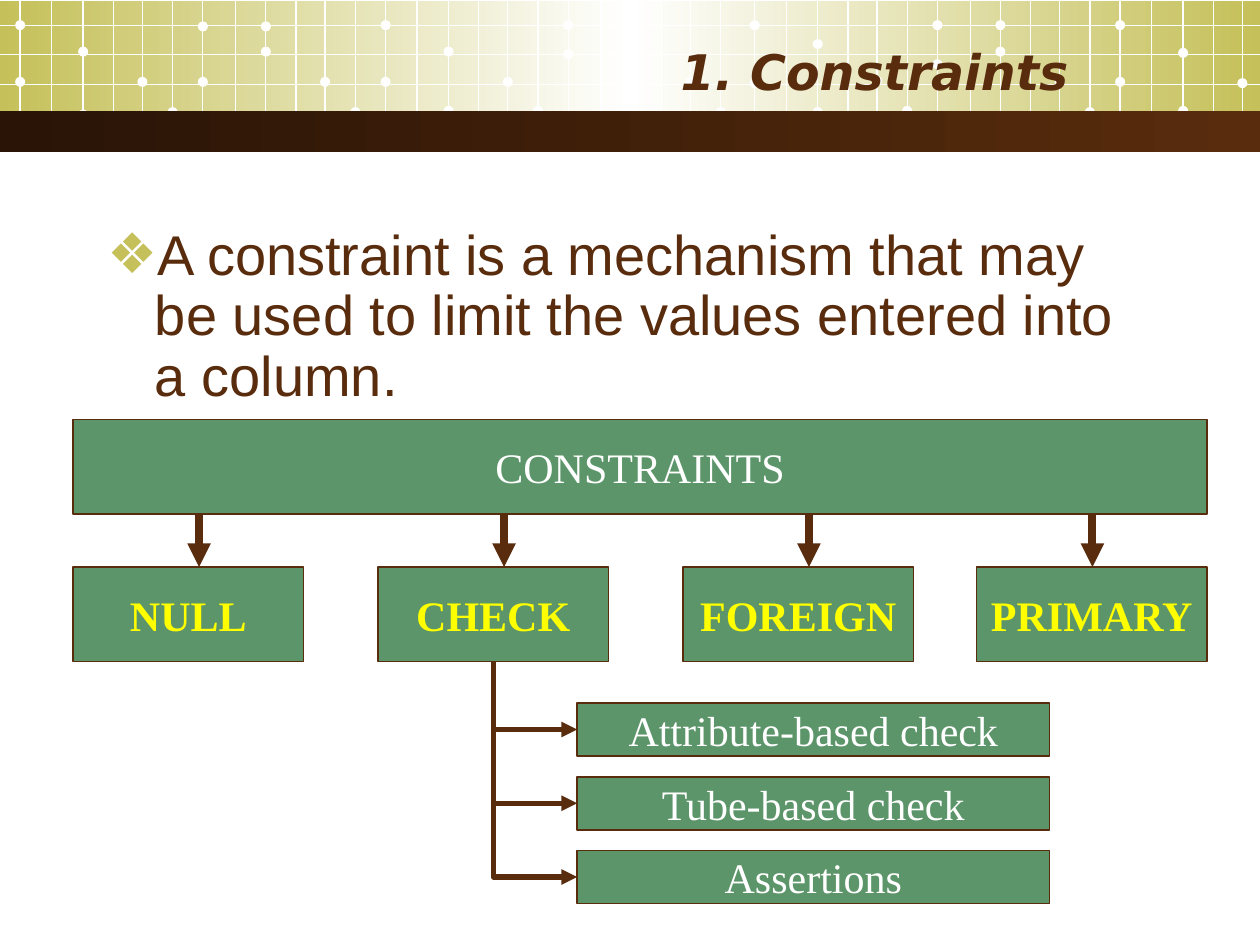
from typing import NamedTuple

from lxml import etree
from pptx import Presentation
from pptx import util as u
from pptx.dml.color import RGBColor
from pptx.enum import shapes, text
from pptx.oxml.ns import qn

BROWN = RGBColor(0x59, 0x2C, 0x0D)
DARK_BROWN = RGBColor(0x29, 0x14, 0x06)
OLIVE = RGBColor(0xC5, 0xC0, 0x59)
GREEN = RGBColor(0x5B, 0x95, 0x69)
YELLOW = RGBColor(0xFF, 0xFF, 0x00)
WHITE = RGBColor(0xFF, 0xFF, 0xFF)

RECT = shapes.MSO_SHAPE.RECTANGLE
OVAL = shapes.MSO_SHAPE.OVAL
STRAIGHT = shapes.MSO_CONNECTOR.STRAIGHT
ELBOW = shapes.MSO_CONNECTOR.ELBOW

# The header grid repeats in panels; only the heights of the dots vary.
LINE_STEPS = (0, 0.25, 0.5, 0.74, 0.97, 1.21, 1.45, 1.71, 1.95, 2.19, 2.42, 2.66)
DOT_STEPS = (0, 0, 0.5, 0.5, 0.97, 1.21, 1.45, 1.45, 1.95, 1.95, 2.42, 2.66)
GRID_ROWS = (0.2, 0.43, 0.67, 0.89)
DOT_SIZE = 0.08


class Panel(NamedTuple):
    left: float
    dot_tops: tuple[float, ...]


class Box(NamedTuple):
    label: str
    left: float
    top: float
    width: float
    height: float
    color: RGBColor = WHITE
    bold: bool = False


PANELS = (
    Panel(0.16, (0.61, 0.16, 0.37, 0.87, 0.61, 0.85, 0.61, 0.17, 0.37, 0.17, 0.61, 0.85)),
    Panel(3.06, (0.61, 0.16, 0.37, 0.84, 0.61, 0.84, 0.39, 0.16, 0.38, 0.16, 0.61, 0.85)),
    Panel(5.99, (0.62, 0.16, 0.31, 0.85, 0.6, 0.84, 0.47, 0.16, 0.37, 0.16, 0.61, 0.85)),
    Panel(8.89, (0.61, 0.16, 0.38, 0.84, 0.62)),
)
ROOT = Box("CONSTRAINTS", 0.58, 3.33, 9, 0.75)
KINDS = [
    Box(label, left, 4.5, 1.83, 0.75, YELLOW, True)
    for label, left in (("NULL", 0.58), ("CHECK", 3), ("FOREIGN", 5.42), ("PRIMARY", 7.75))
]
CHECKS = [
    Box(label, 4.58, 5.58 + 0.585 * i, 3.75, 0.42)
    for i, label in enumerate(("Attribute-based check", "Tube-based check", "Assertions"))
]
ARROW_XS = (1.58, 4, 6.42, 8.67)


def add_filled(parent, kind, left: float, top: float, width: float, height: float, color: RGBColor):
    sp = parent.add_shape(kind, u.Inches(left), u.Inches(top), u.Inches(width), u.Inches(height))
    sp.shadow.inherit = False
    sp.fill.solid()
    sp.fill.fore_color.rgb = color
    sp.line.fill.background()
    return sp


def add_line(parent, kind, x1: float, y1: float, x2: float, y2: float,
             color: RGBColor, width: float, arrow: bool = False):
    line = parent.add_connector(kind, u.Inches(x1), u.Inches(y1), u.Inches(x2), u.Inches(y2))
    line.line.color.rgb = color
    line.line.width = u.Pt(width)
    if arrow:
        etree.SubElement(line.line._get_or_add_ln(), qn("a:tailEnd"), type="triangle")
    etree.SubElement(line.element.spPr, qn("a:effectLst"))
    return line


def add_gradient_bar(parent, top: float, height: float, colors: tuple[RGBColor, ...]) -> None:
    """Full-width bar with evenly spaced colour stops from left to right."""
    sp = add_filled(parent, RECT, 0, top, 10, height, colors[0])
    sp.fill.gradient()
    sp.fill.gradient_angle = 0
    stops = sp.element.spPr.find(".//" + qn("a:gsLst"))
    for stop in list(stops):
        stops.remove(stop)
    for i, color in enumerate(colors):
        position = 100000 * i // (len(colors) - 1)
        stop = etree.SubElement(stops, qn("a:gs"), pos=str(position))
        etree.SubElement(stop, qn("a:srgbClr"), val=str(color))


def add_grid(s) -> None:
    grid = s.shapes.add_group_shape().shapes
    for panel in PANELS:
        for step, top in zip(DOT_STEPS, panel.dot_tops):
            left = panel.left + step - DOT_SIZE / 2
            add_filled(grid, OVAL, left, top, DOT_SIZE, DOT_SIZE, WHITE)
        for x in (panel.left + step for step in LINE_STEPS):
            if x < 10:
                add_line(grid, STRAIGHT, x, 0, x, 1.1, WHITE, 0.75)
    for y in GRID_ROWS:
        add_line(grid, STRAIGHT, 0, y, 10, y, WHITE, 0.75)


def format_runs(p, font: str, size: float, color: RGBColor, bold=False, italic=False) -> None:
    for r in p.runs:
        r.font.name = font
        r.font.size = u.Pt(size)
        r.font.color.rgb = color
        r.font.bold = bold
        r.font.italic = italic


def add_box(s, box: Box) -> None:
    sp = add_filled(s.shapes, RECT, box.left, box.top, box.width, box.height, GREEN)
    sp.line.color.rgb = BROWN
    sp.line.width = u.Pt(1)
    tf = sp.text_frame
    tf.word_wrap = False
    tf.vertical_anchor = text.MSO_ANCHOR.MIDDLE
    tf.text = box.label
    p = tf.paragraphs[0]
    p.alignment = text.PP_ALIGN.CENTER
    format_runs(p, "Times New Roman", 24, box.color, box.bold)


def add_branch(s, parent: Box, child: Box) -> None:
    """Arrow down from the parent's bottom centre, then right to the child."""
    x, y = parent.left + parent.width / 2, parent.top + parent.height
    run, drop = child.left - x, child.top + child.height / 2 - y
    mid_x, mid_y = x + run / 2, y + drop / 2
    # A quarter turn swaps the sides, so the unturned frame is drop by run.
    line = add_line(s.shapes, ELBOW, mid_x + drop / 2, mid_y - run / 2,
                    mid_x - drop / 2, mid_y + run / 2, BROWN, 3, arrow=True)
    spPr = line.element.spPr
    spPr.find(qn("a:xfrm")).set("rot", str(270 * 60000))
    spPr.find(qn("a:prstGeom")).set("prst", "bentConnector2")


def fill_placeholder(ph, content: str, left: float, top: float, width: float, height: float):
    """Place the placeholder in front of what is drawn so far; return its paragraph."""
    ph.left, ph.top = u.Inches(left), u.Inches(top)
    ph.width, ph.height = u.Inches(width), u.Inches(height)
    ph.element.getparent().append(ph.element)
    tf = ph.text_frame
    tf.text = content
    tf.word_wrap = True
    tf.auto_size = text.MSO_AUTO_SIZE.NONE
    return tf.paragraphs[0]


def add_bullet(p, char: str, color: RGBColor) -> None:
    pPr = p._p.get_or_add_pPr()
    pPr.set("marL", str(u.Inches(0.38)))
    pPr.set("indent", str(u.Inches(-0.38)))
    etree.SubElement(etree.SubElement(pPr, qn("a:buClr")), qn("a:srgbClr"), val=str(color))
    etree.SubElement(pPr, qn("a:buChar"), char=char)


def main() -> None:
    prs = Presentation()
    prs.slide_width, prs.slide_height = u.Inches(10), u.Inches(7.5)
    s = prs.slides.add_slide(prs.slide_layouts[1])

    add_gradient_bar(s.shapes, 0.01, 1.02, (OLIVE, WHITE, OLIVE))
    add_grid(s)
    add_gradient_bar(s.shapes, 0.88, 0.33, (DARK_BROWN, BROWN))

    title = s.shapes.title
    p = fill_placeholder(title, "1. Constraints", 0.5, 0.25, 8.08, 0.62)
    title.text_frame.vertical_anchor = text.MSO_ANCHOR.MIDDLE
    p.alignment = text.PP_ALIGN.RIGHT
    format_runs(p, "DejaVu Sans", 28, BROWN, bold=True, italic=True)

    p = fill_placeholder(
        s.placeholders[1],
        "A constraint is a mechanism that may be used to limit the values entered into a column.",
        0.75, 1.75, 8.5, 1.67)
    p.line_spacing = 0.9
    p.space_before = u.Pt(8)
    add_bullet(p, "❖", OLIVE)
    format_runs(p, "Arial", 32, BROWN)

    for box in (ROOT, *KINDS, *CHECKS):
        add_box(s, box)
    for x in ARROW_XS:
        add_line(s.shapes, STRAIGHT, x, ROOT.top + ROOT.height, x, KINDS[0].top, BROWN, 4.5, arrow=True)
    for child in CHECKS:
        add_branch(s, KINDS[1], child)

    prs.save("out.pptx")


if __name__ == "__main__":
    main()
